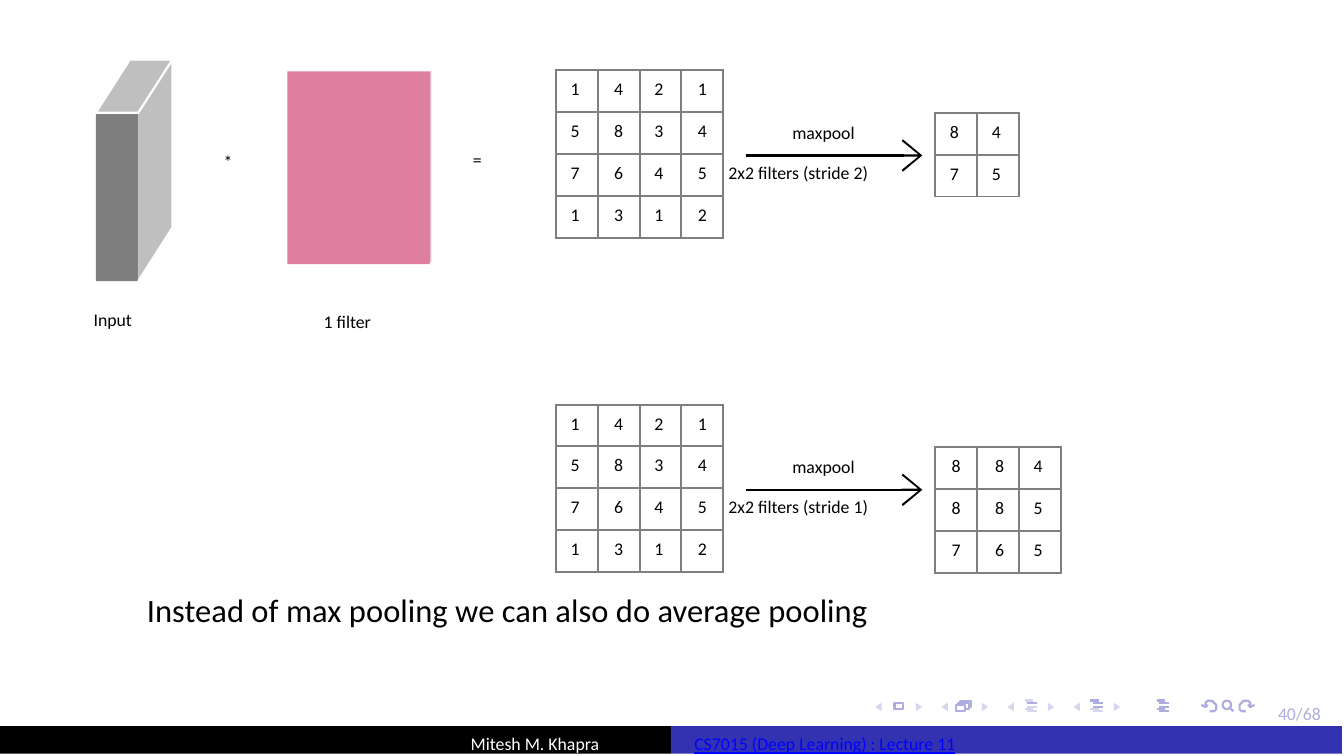
"""Build the max pooling slide with its convolution sketch and footer."""
from lxml import etree
from pptx import Presentation
from pptx.dml.color import RGBColor
from pptx.enum.shapes import MSO_CONNECTOR, MSO_SHAPE
from pptx.enum.text import PP_ALIGN
from pptx.oxml.ns import qn
from pptx.util import Inches, Pt

STRAIGHT = MSO_CONNECTOR.STRAIGHT
RECTANGLE, OVAL = MSO_SHAPE.RECTANGLE, MSO_SHAPE.OVAL
ALIGNMENTS = {"l": PP_ALIGN.LEFT, "c": PP_ALIGN.CENTER, "r": PP_ALIGN.RIGHT}

FONT = "Calibri"
BLACK, WHITE, GRAY, BLUE = "000000", "FFFFFF", "7F7F7F", "3333B2"
NAV_DARK, NAV_LIGHT = "ADADE0", "D6D6EF"
CELL = 0.59 / 3
CELL_INDENT = 0.07

FEATURE_MAP = ["1421", "5834", "7645", "1312"]
POOLING_ROWS = [
    ("2x2 filters (stride 2)", ["84", "75"], "ll"),
    ("2x2 filters (stride 1)", ["884", "885", "765"], "crl"),
]
POOLING_STEP = 1.57

PRISMS = [
    (0.45, 0.53, 0.2, 0.79, 0.16, 0.25, GRAY, "BFBFBF"),
    (1.35, 0.33, 0.67, 0.91, 0.01, 0.01, "DF7F9F", "EFBFCF"),
]
LABELS = [
    ("Input", 0.43, 1.44, 0.27, 6),
    ("*", 1.04, 0.7, 0.08, 6),
    ("1 filter", 1.51, 1.45, 0.33, 6),
    ("=", 2.21, 0.69, 0.11, 6),
    ("Instead of max pooling we can also do average pooling", 0.68, 2.76, 3.65, 11),
]
FOOTER_BARS = [(0, BLACK), (3.15, BLUE)]
FOOTER_TEXTS = [
    ("40/68", 5.99, 3.29, 0.28, NAV_DARK, False),
    ("Mitesh M. Khapra", 2.2, 3.43, 0.85, WHITE, False),
    ("CS7015 (Deep Learning) : Lecture 11", 3.25, 3.43, 1.7, "0000FF", True),
]

NAV_ARROWS = [4.11 + 0.31 * index for index in range(4)]
FRAME = [(4.2, 3.33), (4.24, 3.33), (4.24, 3.3), (4.2, 3.3), (4.2, 3.33)]
STACK = [
    [(4.49, 3.34), (4.53, 3.34), (4.53, 3.31), (4.49, 3.31), (4.49, 3.34)],
    [(4.5, 3.31), (4.5, 3.3), (4.55, 3.3), (4.55, 3.33), (4.53, 3.33)],
    [(4.51, 3.3), (4.51, 3.29), (4.56, 3.29), (4.56, 3.32), (4.55, 3.32)],
]
OUTLINE_BARS = [(0, 0.04, 3.29), (0.01, 0.06, 3.3), (0.01, 0.06, 3.32),
                (0, 0.04, 3.33), (0.01, 0.06, 3.34)]
OUTLINES = [(4.81, {1}), (5.12, {0, 1, 2}), (5.43, {0, 1, 2, 3, 4})]
UNDO = [
    [(5.68, 3.34), (5.69, 3.34), (5.7, 3.34), (5.71, 3.33), (5.71, 3.32),
     (5.71, 3.31), (5.7, 3.3), (5.69, 3.29), (5.68, 3.29), (5.67, 3.29),
     (5.66, 3.3), (5.66, 3.31), (5.66, 3.32)],
    [(5.67, 3.31), (5.66, 3.32), (5.64, 3.31)],
]
MIRROR_SUM = 11.53


def color(value):
    return RGBColor.from_string(value)


def paint(shape, fill=None, line=None):
    shape.shadow.inherit = False
    if fill:
        shape.fill.solid()
        shape.fill.fore_color.rgb = color(fill)
    else:
        shape.fill.background()
    if line:
        shape.line.color.rgb = color(line)
        shape.line.width = Pt(0.75)
    else:
        shape.line.fill.background()


def add_outline(slide, contours, fill=None, line=None):
    contours = [[(Inches(x), Inches(y)) for x, y in points] for points in contours]
    builder = slide.shapes.build_freeform(*contours[0][0])
    for index, points in enumerate(contours):
        if index:
            builder.move_to(*points[0])
        builder.add_line_segments(points[1:], close=points[0] == points[-1])
    paint(builder.convert_to_shape(), fill, line)


def add_line(slide, x1, y1, x2, y2, line, width=0.75):
    connector = slide.shapes.add_connector(
        STRAIGHT, Inches(x1), Inches(y1), Inches(x2), Inches(y2))
    connector.line.color.rgb = color(line)
    connector.line.width = Pt(width)
    etree.SubElement(connector._element.spPr, qn("a:effectLst"))
    return connector


def add_arrow(slide, x1, x2, y):
    connector = add_line(slide, x1, y, x2, y, BLACK, 0.8)
    outline = connector._element.spPr.find(qn("a:ln"))
    etree.SubElement(outline, qn("a:tailEnd"), type="arrow", w="lg", len="med")


def style_run(paragraph, size, font_color):
    font = paragraph.runs[0].font
    font.name, font.size = FONT, Pt(size)
    font.color.rgb = color(font_color)
    return font


def add_label(slide, text, left, top, width, size=6, font_color=BLACK, inset=0.01):
    box = slide.shapes.add_textbox(
        Inches(left), Inches(top), Inches(width), Pt(size * 1.4))
    frame = box.text_frame
    frame.word_wrap = True
    frame.margin_left, frame.margin_top = Inches(0.01), Inches(inset)
    frame.margin_right = frame.margin_bottom = 0
    frame.text = text
    style_run(frame.paragraphs[0], size, font_color)
    return frame.paragraphs[0]


def add_borders(cell):
    properties = cell._tc.get_or_add_tcPr()
    for index, side in enumerate(("a:lnL", "a:lnR", "a:lnT", "a:lnB")):
        border = etree.Element(qn(side), w=str(Pt(0.75)))
        fill = etree.SubElement(border, qn("a:solidFill"))
        etree.SubElement(fill, qn("a:srgbClr"), val=GRAY)
        properties.insert(index, border)


def add_grid(slide, rows, left, top, alignments):
    count = len(rows)
    side = Inches(CELL * count)
    table = slide.shapes.add_table(
        count, count, Inches(left), Inches(top), side, side).table
    table.first_row = table.horz_banding = False
    for index in range(count):
        table.columns[index].width = table.rows[index].height = Inches(CELL)
    for row, digits in enumerate(rows):
        for column, (digit, alignment) in enumerate(zip(digits, alignments)):
            cell = table.cell(row, column)
            cell.margin_left = Inches(CELL_INDENT if alignment == "l" else 0)
            cell.margin_right = Inches(CELL_INDENT if alignment == "r" else 0)
            cell.margin_top, cell.margin_bottom = Inches(0.04), 0
            cell.text_frame.text = digit
            paragraph = cell.text_frame.paragraphs[0]
            paragraph.alignment = ALIGNMENTS[alignment]
            style_run(paragraph, 6, BLACK)
            cell.fill.background()
            add_borders(cell)


def add_prism(slide, left, top, width, height, dx, dy, front, side):
    right, bottom = left + width, top + height
    back_left, back_right = (left + dx, top - dy), (right + dx, top - dy)
    low_right = (right + dx, bottom - dy)
    corner, near, low = (left, top), (right, top), (right, bottom)
    add_outline(slide, [[corner, near, low, (left, bottom), corner]], front)
    add_outline(slide, [[back_right, back_left, corner, near, low, low_right,
                         back_right]], side)
    add_outline(slide, [[corner, near, back_right, back_left, corner],
                        [back_right, low_right, low]], line=WHITE)


def add_navigation(slide):
    add_outline(slide, [FRAME], line=NAV_DARK)
    add_outline(slide, STACK, line=NAV_DARK)
    for left in NAV_ARROWS:
        for base, tip in ((left + 0.03, left), (left + 0.19, left + 0.22)):
            add_outline(slide, [[(base, 3.3), (tip, 3.32), (base, 3.34), (base, 3.3)]],
                        NAV_LIGHT)
    for left, dark_bars in OUTLINES:
        for index, (start, end, y) in enumerate(OUTLINE_BARS):
            shade = NAV_DARK if index in dark_bars else NAV_LIGHT
            add_line(slide, left + start, y, left + end, y, shade)
    lens = slide.shapes.add_shape(
        OVAL, Inches(5.74), Inches(3.29), Inches(0.04), Inches(0.04))
    paint(lens, line=NAV_DARK)
    add_line(slide, 5.77, 3.32, 5.79, 3.34, NAV_DARK)
    redo = [[(MIRROR_SUM - x, y) for x, y in points] for points in UNDO]
    for contours in (UNDO, redo):
        add_outline(slide, contours, line=NAV_DARK)


def main():
    presentation = Presentation()
    presentation.slide_width, presentation.slide_height = Inches(6.31), Inches(3.55)
    slide = presentation.slides.add_slide(presentation.slide_layouts[6])
    add_navigation(slide)
    for prism in PRISMS:
        add_prism(slide, *prism)
    for label in LABELS:
        add_label(slide, *label)
    for index, (caption, pooled, alignments) in enumerate(POOLING_ROWS):
        offset = index * POOLING_STEP
        add_grid(slide, FEATURE_MAP, 2.61, 0.33 + offset, "lclc")
        add_arrow(slide, 3.5, 4.33, 0.73 + offset)
        add_label(slide, "maxpool", 3.71, 0.56 + offset, 0.41)
        add_label(slide, caption, 3.41, 0.75 + offset, 0.92)
        add_grid(slide, pooled, 4.39, 0.53 + offset, alignments)
    for left, fill in FOOTER_BARS:
        bar = slide.shapes.add_shape(
            RECTANGLE, Inches(left), Inches(3.41), Inches(3.15), Inches(0.13))
        paint(bar, fill)
    for text, left, top, width, font_color, underline in FOOTER_TEXTS:
        paragraph = add_label(slide, text, left, top, width, 6, font_color, 0)
        paragraph.line_spacing = 1.12
        paragraph.runs[0].font.underline = underline
    presentation.save("out.pptx")


if __name__ == "__main__":
    main()
